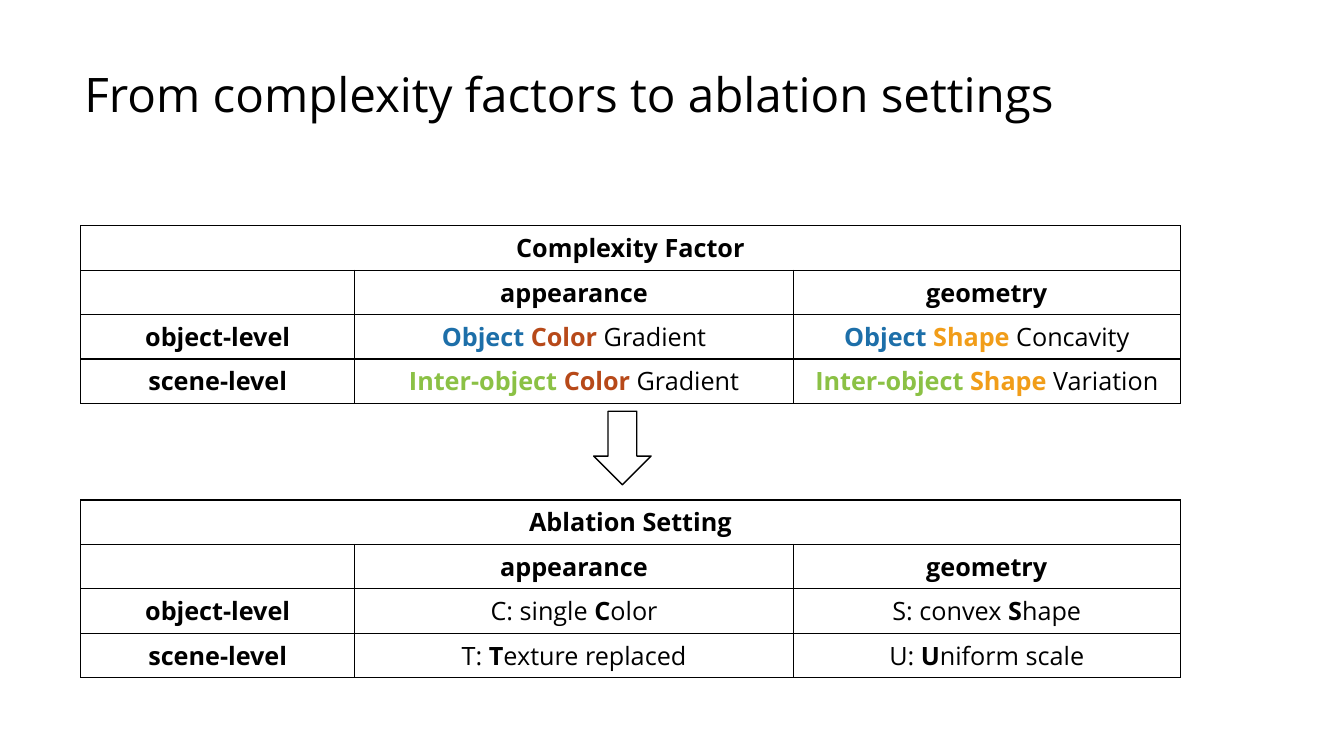
from lxml import etree
from pptx import Presentation
from pptx.dml.color import RGBColor
from pptx.enum.shapes import MSO_SHAPE
from pptx.enum.text import MSO_ANCHOR, PP_ALIGN
from pptx.oxml.ns import qn
from pptx.util import Pt

CENTER = PP_ALIGN.CENTER
MIDDLE = MSO_ANCHOR.MIDDLE
DOWN_ARROW = MSO_SHAPE.DOWN_ARROW

BLACK = RGBColor(0x00, 0x00, 0x00)
WHITE = RGBColor(0xFF, 0xFF, 0xFF)
BLUE = RGBColor(0x1D, 0x6F, 0xA9)
RUST = RGBColor(0xB7, 0x49, 0x19)
ORANGE = RGBColor(0xF1, 0x9D, 0x19)
GREEN = RGBColor(0x8B, 0xC1, 0x45)
FONT = "Open Sans"

# Content: each cell is a list of (text, bold, colour)
TITLE = "From complexity factors to ablation settings"


def bold(text, colour=BLACK):
    return (text, True, colour)


def plain(text):
    return (text, False, BLACK)


COLUMN_HEADS = [[], [bold("appearance")], [bold("geometry")]]
OBJECT_LEVEL = [bold("object-level")]
SCENE_LEVEL = [bold("scene-level")]

FACTORS = [
    [[bold("Complexity Factor")]],
    COLUMN_HEADS,
    [OBJECT_LEVEL,
     [bold("Object ", BLUE), bold("Color", RUST), plain(" Gradient")],
     [bold("Object ", BLUE), bold("Shape", ORANGE), plain(" Concavity")]],
    [SCENE_LEVEL,
     [bold("Inter-object ", GREEN), bold("Color", RUST), plain(" Gradient")],
     [bold("Inter-object ", GREEN), bold("Shape", ORANGE), plain(" Variation")]],
]
SETTINGS = [
    [[bold("Ablation Setting")]],
    COLUMN_HEADS,
    [OBJECT_LEVEL,
     [plain("C: single "), bold("C"), plain("olor")],
     [plain("S: convex "), bold("S"), plain("hape")]],
    [SCENE_LEVEL,
     [plain("T: "), bold("T"), plain("exture replaced")],
     [plain("U: "), bold("U"), plain("niform scale")]],
]

# Layout in points
TABLE_LEFT = 57.6
COLUMN_WIDTHS = (195.84, 313.2, 276.48)
ROW_HEIGHT = 29.2
TABLES = [(161.28, FACTORS), (357.12, SETTINGS)]


def add_borders(cell):
    properties = cell._tc.get_or_add_tcPr()
    for side in ("a:lnL", "a:lnR", "a:lnT", "a:lnB"):
        line = etree.SubElement(properties, qn(side), w=str(Pt(1)))
        fill = etree.SubElement(line, qn("a:solidFill"))
        etree.SubElement(fill, qn("a:srgbClr"), val=str(BLACK))


def write_cell(cell, spans):
    para = cell.text_frame.paragraphs[0]
    para.alignment = CENTER
    para.font.name = FONT
    para.font.size = Pt(18)
    for text, is_bold, colour in spans:
        span = para.add_run()
        span.text = text
        span.font.bold = is_bold
        span.font.color.rgb = colour


def add_grid(page, top, rows):
    frame = page.shapes.add_table(
        len(rows), len(COLUMN_WIDTHS), Pt(TABLE_LEFT), Pt(top),
        Pt(sum(COLUMN_WIDTHS)), Pt(ROW_HEIGHT * len(rows)))
    table = frame.table
    table.first_row = False
    table.horz_banding = False
    for column, width in zip(table.columns, COLUMN_WIDTHS):
        column.width = Pt(width)
    for cell in table.iter_cells():
        add_borders(cell)
        cell.fill.background()
    table.cell(0, 0).merge(table.cell(0, len(COLUMN_WIDTHS) - 1))
    for row_index, row in enumerate(rows):
        for column_index, spans in enumerate(row):
            write_cell(table.cell(row_index, column_index), spans)


def main():
    deck = Presentation()
    deck.slide_width, deck.slide_height = Pt(960), Pt(540)
    page = deck.slides.add_slide(deck.slide_layouts[6])

    # Tables
    for top, rows in TABLES:
        add_grid(page, top, rows)

    # Title
    box = page.shapes.add_textbox(Pt(53.28), Pt(46.8), Pt(787.68), Pt(44.64))
    box.text_frame.word_wrap = True
    box.text_frame.vertical_anchor = MIDDLE
    para = box.text_frame.paragraphs[0]
    para.text = TITLE
    para.line_spacing = 0.9
    para.font.name = FONT
    para.font.size = Pt(34)
    para.font.color.rgb = BLACK

    # Arrow from factors to settings
    arrow = page.shapes.add_shape(
        DOWN_ARROW, Pt(424.08), Pt(293.76), Pt(41.04), Pt(52.56))
    arrow.shadow.inherit = False
    arrow.fill.solid()
    arrow.fill.fore_color.rgb = WHITE
    arrow.line.color.rgb = BLACK
    arrow.line.width = Pt(1)

    deck.save("out.pptx")


if __name__ == "__main__":
    main()
